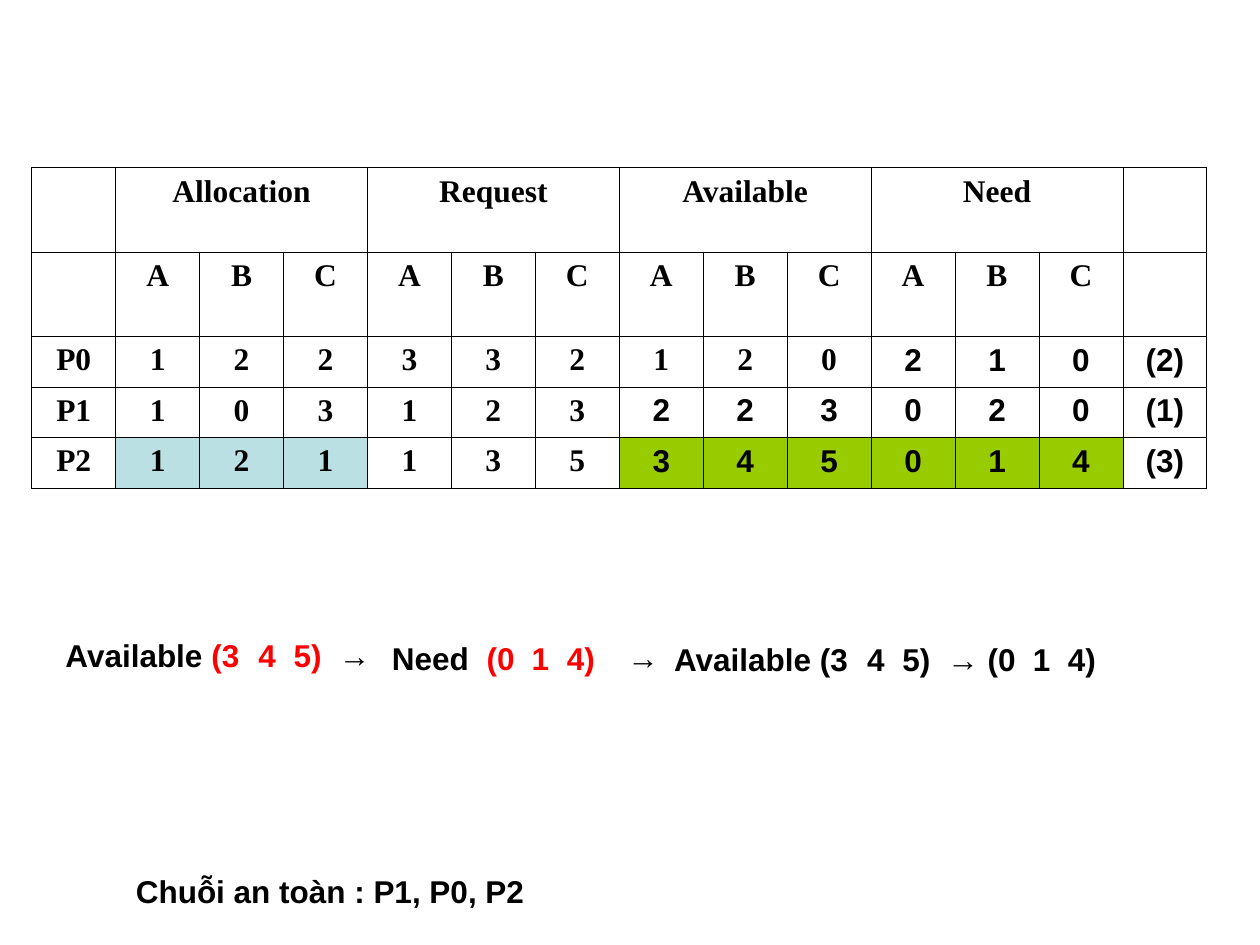
import pptx
import pptx.dml.color
import pptx.enum.text
import pptx.oxml.ns
import pptx.util
from lxml import etree

Cm = pptx.util.Cm
BLACK, RED, BLUE, GREEN = "000000", "FF0000", "BBE0E3", "99CC00"
SANS, SERIF = "Arial", "Times New Roman"
GROUPS = ["Allocation", "Request", "Available", "Need"]
PROCESSES = [
    ("P0", "122332120210", "(2)", 10),
    ("P1", "103123223020", "(1)", 7),
    ("P2", "121135345014", "(3)", 7),
]
TABLE_WIDTH = 23.7
ROW_HEIGHTS = [1.7, 1.7, 1.02, 1.02, 1.02]


def color(value):
    return pptx.dml.color.RGBColor.from_string(value)


def add_child(parent, tag, **attributes):
    child = etree.SubElement(parent, pptx.oxml.ns.qn(tag))
    for key, value in attributes.items():
        child.set(key, str(value))
    return child


def format_run(run, face=SANS, ink=BLACK):
    run.font.name = face
    run.font.size = pptx.util.Pt(18)
    run.font.bold = True
    run.font.color.rgb = color(ink)


def add_borders(cell):
    properties = cell._tc.get_or_add_tcPr()
    for side in ("a:lnL", "a:lnR", "a:lnT", "a:lnB"):
        border = add_child(properties, side, w=pptx.util.Pt(0.45))
        add_child(add_child(border, "a:solidFill"), "a:srgbClr", val=BLACK)


def style_cell(cell, fill):
    add_borders(cell)
    if fill:
        cell.fill.solid()
        cell.fill.fore_color.rgb = color(fill)
    else:
        cell.fill.background()


def write_cell(cell, text, face):
    cell.text_frame.text = text
    paragraph = cell.text_frame.paragraphs[0]
    paragraph.alignment = pptx.enum.text.PP_ALIGN.CENTER
    for run in paragraph.runs:
        format_run(run, face)


def cell_fill(row, column):
    if row == 4 and 1 <= column <= 3:
        return BLUE
    if row == 4 and 7 <= column <= 12:
        return GREEN
    return None


def add_allocation_table(slide):
    letters = list("ABC" * len(GROUPS))
    group_row = [""] + [text for group in GROUPS for text in (group, "", "")] + [""]
    rows = [(group_row, 14), ([""] + letters + [""], 14)]
    rows += [([name, *values, order], sans_from)
             for name, values, order, sans_from in PROCESSES]
    columns = len(group_row)
    table = slide.shapes.add_table(
        len(rows), columns, Cm(0.64), Cm(3.38), Cm(TABLE_WIDTH), Cm(sum(ROW_HEIGHTS))
    ).table
    table.first_row = table.horz_banding = False
    for column in table.columns:
        column.width = Cm(TABLE_WIDTH / columns)
    for row, height in zip(table.rows, ROW_HEIGHTS):
        row.height = Cm(height)
    for r, (texts, sans_from) in enumerate(rows):
        for c, text in enumerate(texts):
            cell = table.cell(r, c)
            style_cell(cell, cell_fill(r, c))
            if text:
                write_cell(cell, text, SANS if c >= sans_from else SERIF)
    for start in range(1, columns - 1, 3):
        table.cell(0, start).merge(table.cell(0, start + 2))


def add_label(slide, left, top, width, parts, stops=()):
    box = slide.shapes.add_textbox(Cm(left), Cm(top), Cm(width), Cm(1.02))
    box.text_frame.word_wrap = False
    paragraph = box.text_frame.paragraphs[0]
    if stops:
        tabs = add_child(paragraph._p.get_or_add_pPr(), "a:tabLst")
        for stop in stops:
            add_child(tabs, "a:tab", pos=Cm(stop), algn="l")
    for text, ink in parts:
        run = paragraph.add_run()
        run.text = text
        format_run(run, ink=ink)


def main():
    deck = pptx.Presentation()
    deck.slide_width, deck.slide_height = Cm(25.4), Cm(19.05)
    slide = deck.slides.add_slide(deck.slide_layouts[6])
    add_allocation_table(slide)
    available_stops = [3.89, 4.6, 5.51]
    add_label(slide, 1.07, 12.7, 6.65,
              [("Available ", BLACK), ("(3\t4\t5)\t", RED), ("→", BLACK)],
              available_stops)
    add_label(slide, 7.65, 12.76, 4.6,
              [("Need\t", BLACK), ("(0\t1\t4)", RED)], [1.91, 2.82, 3.53])
    add_label(slide, 12.4, 12.73, 1.14, [("→", BLACK)])
    add_label(slide, 13.34, 12.78, 9.02,
              [("Available (3\t4\t5)\t→ (0\t1\t4)", BLACK)],
              available_stops + [7.23, 7.94])
    add_label(slide, 2.49, 17.45, 8.51, [("Chuỗi an toàn : P1, P0, P2", BLACK)])
    deck.save("out.pptx")


if __name__ == "__main__":
    main()
